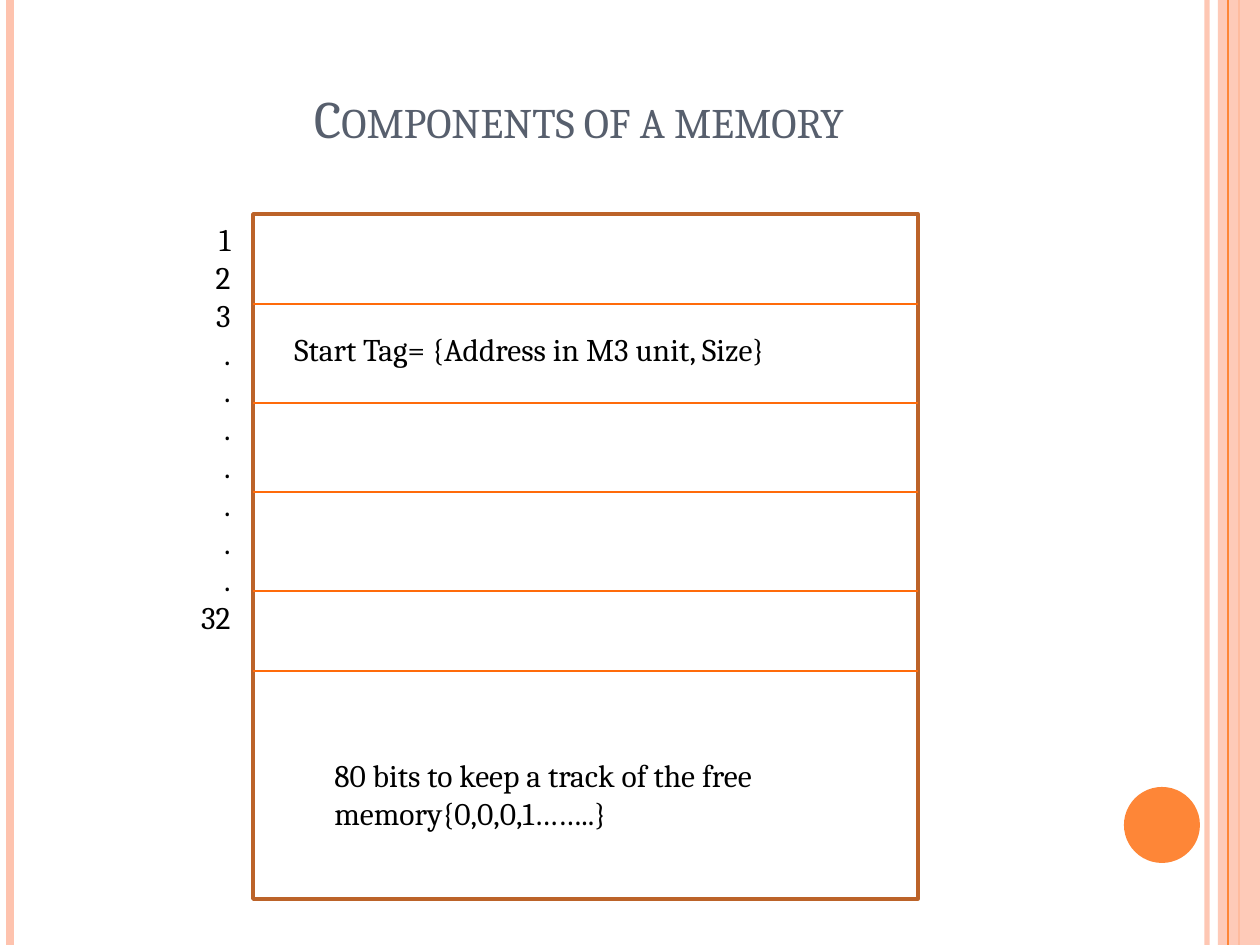
from lxml import etree
from pptx import Presentation
from pptx.dml.color import RGBColor
from pptx.enum.shapes import MSO_CONNECTOR, MSO_SHAPE
from pptx.enum.text import MSO_ANCHOR, MSO_AUTO_SIZE, PP_ALIGN
from pptx.oxml.ns import qn
from pptx.util import Emu, Pt

STRAIGHT = MSO_CONNECTOR.STRAIGHT
RECTANGLE, OVAL = MSO_SHAPE.RECTANGLE, MSO_SHAPE.OVAL
LEFT, CENTER, RIGHT = PP_ALIGN.LEFT, PP_ALIGN.CENTER, PP_ALIGN.RIGHT
BOTTOM = MSO_ANCHOR.BOTTOM
NO_FIT, GROW = MSO_AUTO_SIZE.NONE, MSO_AUTO_SIZE.SHAPE_TO_FIT_TEXT

EMU_PER_PIXEL = 914400 / 126
WIDTH, HEIGHT = 1260, 945
FONT = "Cambria"
ORANGE, PEACH = "FE8637", "FEC3AE"
FRAME_COLOR, DIVIDER_COLOR = "BC6329", "FF6B0A"
TITLE_COLOR, TEXT_COLOR = "575F6D", "000000"


def px(*values):
    return [Emu(round(value * EMU_PER_PIXEL)) for value in values]


def paint(color_format, color, opacity=100):
    """Set a colour and, if needed, its opacity in percent."""
    color_format.rgb = RGBColor.from_string(color)
    if opacity < 100:
        element = color_format._xFill.find(qn("a:srgbClr"))
        etree.SubElement(element, qn("a:alpha")).set("val", str(opacity * 1000))


def add_line(slide, x1, y1, x2, y2, color, width, opacity=100):
    line = slide.shapes.add_connector(STRAIGHT, *px(x1, y1, x2, y2))
    line.line.width = Pt(width)
    line.line.fill.solid()
    paint(line.line.fill.fore_color, color, opacity)
    etree.SubElement(line._element.spPr, qn("a:effectLst"))


def add_shape(slide, kind, box, fill=None, opacity=100, outline=None, width=0):
    shape = slide.shapes.add_shape(kind, *px(*box))
    shape.shadow.inherit = False
    if fill:
        shape.fill.solid()
        paint(shape.fill.fore_color, fill, opacity)
    else:
        shape.fill.background()
    if outline:
        paint(shape.line.color, outline)
        shape.line.width = Pt(width)
    else:
        shape.line.fill.background()


def write(paragraph, text, size, color, alignment):
    paragraph.alignment = alignment
    run = paragraph.add_run()
    run.text = text
    run.font.name = FONT
    run.font.size = Pt(size)
    paint(run.font.color, color)
    return run


def add_text(slide, box, lines, alignment=LEFT):
    frame = slide.shapes.add_textbox(*px(*box)).text_frame
    frame.word_wrap = True
    frame.auto_size = GROW
    for index, line in enumerate(lines):
        paragraph = frame.add_paragraph() if index else frame.paragraphs[0]
        write(paragraph, line, 18, TEXT_COLOR, alignment)


def set_title(slide, box, text):
    title = slide.shapes.title
    title.left, title.top, title.width, title.height = px(*box)
    frame = title.text_frame
    frame.auto_size = NO_FIT
    frame.vertical_anchor = BOTTOM
    run = write(frame.paragraphs[0], text, 30, TITLE_COLOR, CENTER)
    run._r.get_or_add_rPr().set("cap", "small")


def add_decoration(slide):
    def stripe(x, color, width, opacity=100):
        add_line(slide, x, 0, x, HEIGHT, color, width, opacity)

    stripe(1207, PEACH, 3, 93)
    stripe(10, PEACH, 4.5)
    stripe(1239, ORANGE, 1.5)
    add_shape(slide, RECTANGLE, (1218, 0, 42, HEIGHT), PEACH, 87)
    stripe(1228, ORANGE, 0.75)
    add_shape(slide, OVAL, (1124, 787, 76, 76), ORANGE)


def add_memory(slide):
    left, top, width, height = 253, 214, 665, 685
    add_shape(slide, RECTANGLE, (left, top, width, height),
              outline=FRAME_COLOR, width=2)
    for y in (304, 403, 492, 591, 671):
        add_line(slide, left, y, left + width, y, DIVIDER_COLOR, 1)
    # Unit numbers beside the frame
    numbers = ["1", "2", "3"] + ["."] * 7 + ["32"]
    add_text(slide, (64, top, 179, 432), numbers, RIGHT)
    # Cell contents
    add_text(slide, (282, 324, 605, 50),
             ["Start Tag= {Address in M3 unit, Size}"])
    add_text(slide, (322, 750, 566, 89),
             ["80 bits to keep a track of the free memory{0,0,0,1……..}"])


def main():
    presentation = Presentation()
    presentation.slide_width, presentation.slide_height = px(WIDTH, HEIGHT)
    slide = presentation.slides.add_slide(presentation.slide_layouts[5])
    add_decoration(slide)
    set_title(slide, (64, 45, 1030, 110), "Components of a memory")
    add_memory(slide)
    presentation.save("out.pptx")


main()
